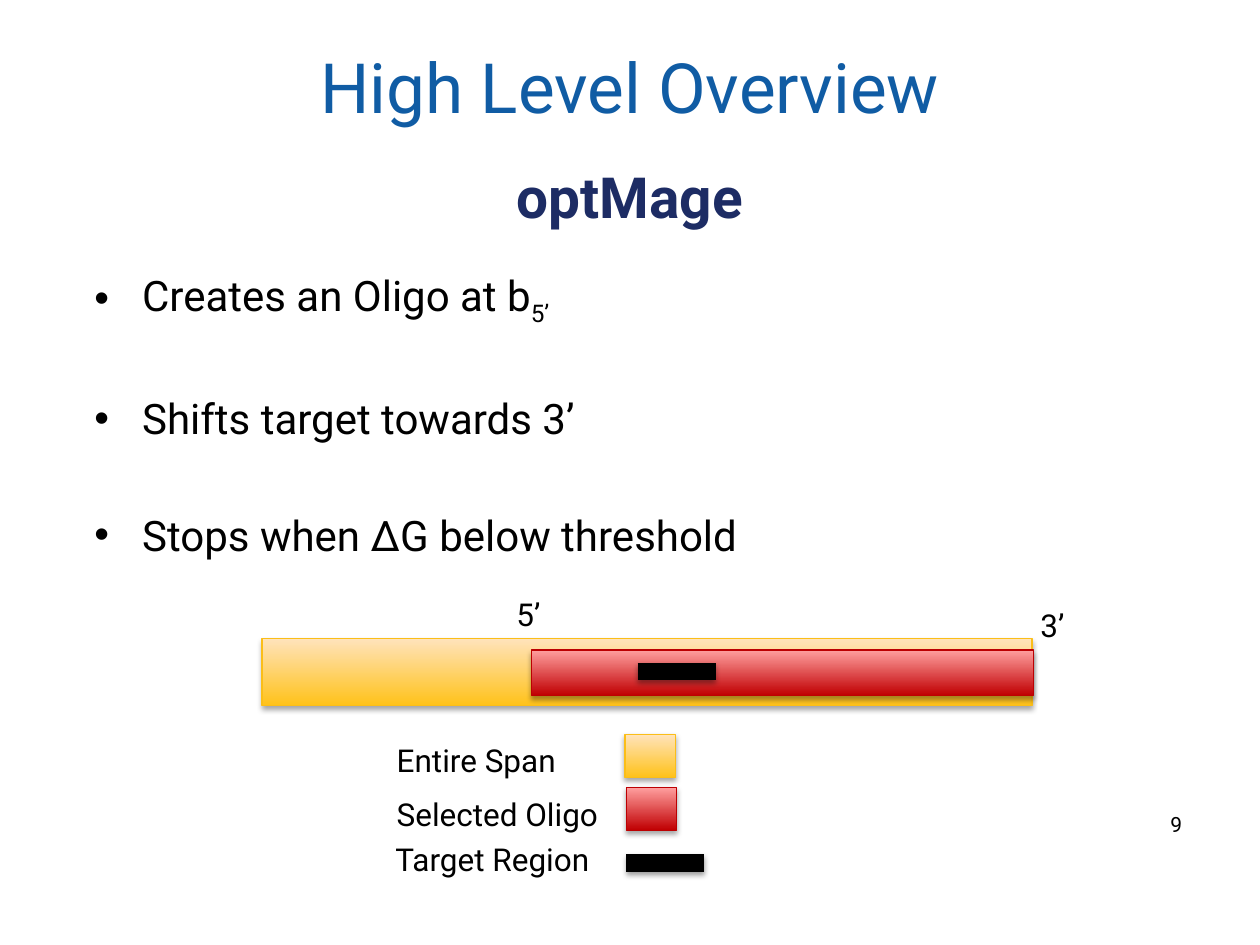
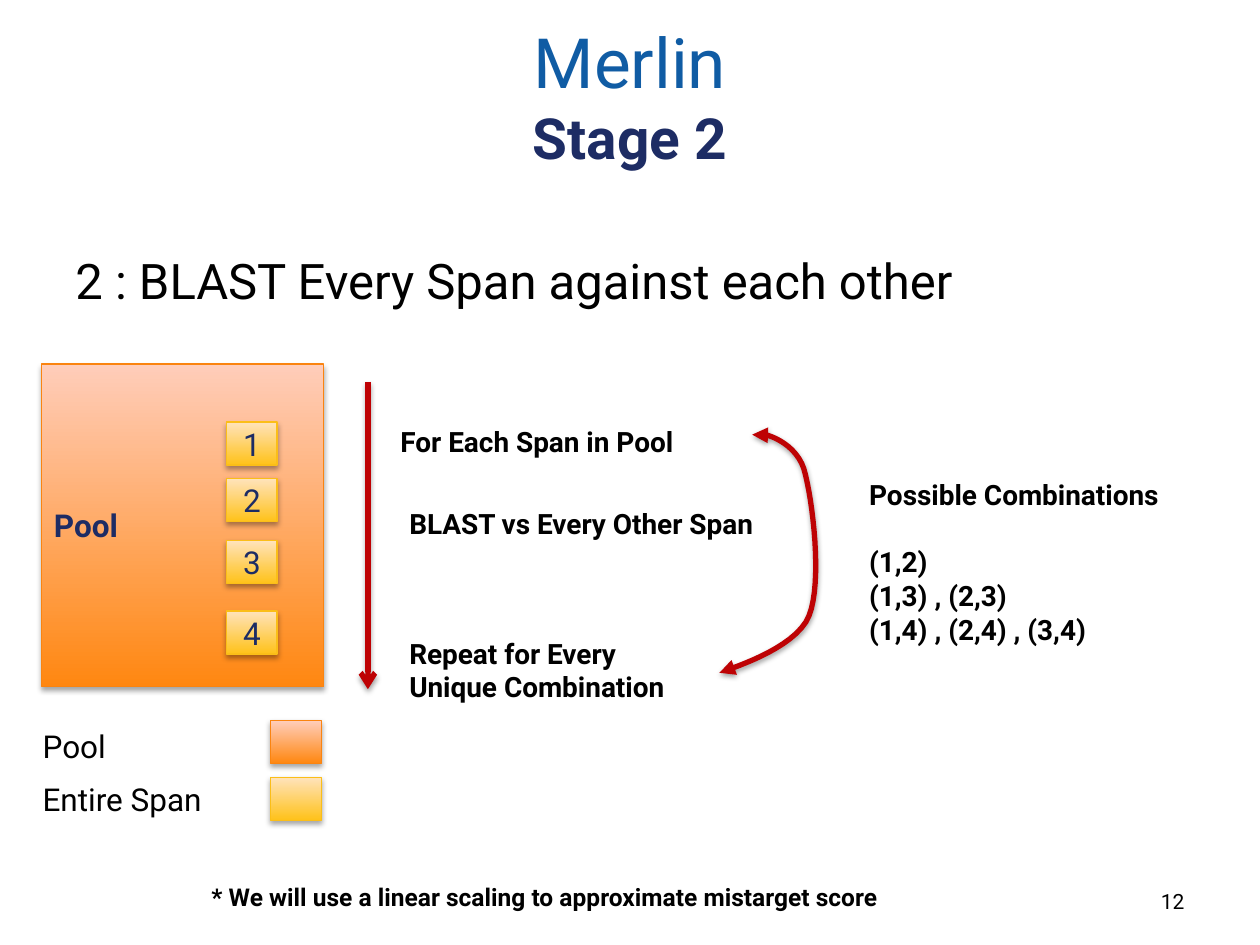
from dataclasses import dataclass

from lxml.etree import SubElement
from pptx import Presentation
from pptx.dml.color import RGBColor
from pptx.enum.shapes import MSO_CONNECTOR, MSO_SHAPE
from pptx.enum.text import MSO_ANCHOR, MSO_AUTO_SIZE, PP_ALIGN
from pptx.oxml.ns import qn
from pptx.util import Inches, Pt

FONT = "Roboto"
BLACK = RGBColor(0x00, 0x00, 0x00)
BLUE = RGBColor(0x10, 0x5C, 0xA4)
NAVY = RGBColor(0x1D, 0x2C, 0x64)
ARROW_RED = RGBColor(0xBE, 0x02, 0x04)
KEY_W, KEY_H = 0.4, 0.34


@dataclass(frozen=True)
class Style:
    """Gradient from bottom to top, with an outline."""
    bottom: RGBColor
    top: RGBColor
    line: RGBColor


SPAN = Style(RGBColor(0xFF, 0xC2, 0x1A), RGBColor(0xFF, 0xE3, 0xBB), RGBColor(0xFB, 0xBE, 0x18))
OLIGO = Style(RGBColor(0xC0, 0x00, 0x02), RGBColor(0xFF, 0x9F, 0x9F), RGBColor(0xBC, 0x00, 0x02))
POOL = Style(RGBColor(0xFF, 0x87, 0x11), RGBColor(0xFF, 0xCD, 0xBA), RGBColor(0xFA, 0x84, 0x10))


@dataclass(frozen=True)
class Box:
    """Rectangle with an optional label."""
    left: float
    top: float
    width: float
    height: float
    style: Style
    text: str = ""
    bold: bool = False
    align: PP_ALIGN = PP_ALIGN.CENTER


@dataclass(frozen=True)
class Note:
    """Text block with one paragraph per line."""
    left: float
    top: float
    width: float
    height: float
    lines: tuple[str, ...]
    size: float = 18
    bold: bool = False
    align: PP_ALIGN = PP_ALIGN.LEFT
    anchor: MSO_ANCHOR = MSO_ANCHOR.TOP


def add_run(p, text: str, size: float, color: RGBColor = BLACK, bold: bool = False):
    """Append a formatted run."""
    r = p.add_run()
    r.text = text
    r.font.name = FONT
    r.font.size = Pt(size)
    r.font.bold = bold
    r.font.color.rgb = color
    return r


def add_shadow(sp, alpha: int, dist: float) -> None:
    """Give a shape a soft shadow straight below it."""
    effects = SubElement(sp._element.spPr, qn("a:effectLst"))
    outer = SubElement(effects, qn("a:outerShdw"), blurRad=str(Pt(3.1)), dist=str(Pt(dist)),
                       dir="5400000", rotWithShape="0")
    color = SubElement(outer, qn("a:srgbClr"), val="000000")
    SubElement(color, qn("a:alpha"), val=str(alpha * 1000))


def style_line(sp, color: RGBColor, width: float, head: str = "none", tail: str = "none") -> None:
    """Format a line with its arrowheads and shadow."""
    sp.line.color.rgb = color
    sp.line.width = Pt(width)
    ln = sp.line._get_or_add_ln()
    SubElement(ln, qn("a:headEnd"), type=head)
    SubElement(ln, qn("a:tailEnd"), type=tail)
    add_shadow(sp, 38, 1.6)


def add_line(s, start: tuple[float, float], end: tuple[float, float],
             color: RGBColor, width: float, tail: str = "none") -> None:
    """Draw a straight line."""
    cx = s.shapes.add_connector(MSO_CONNECTOR.STRAIGHT, *map(Inches, start + end))
    style_line(cx, color, width, tail=tail)


def add_curve(s, start: tuple[float, float], segments: list, steps: int = 16) -> None:
    """Draw cubic curves as a smooth open outline with two arrowheads."""
    points, origin = [], start
    for c1, c2, end in segments:
        for i in range(1, steps + 1):
            t = i / steps
            u = 1 - t
            points.append(tuple(
                Inches(u**3 * a + 3 * u * u * t * b + 3 * u * t * t * c + t**3 * d)
                for a, b, c, d in zip(origin, c1, c2, end)))
        origin = end
    builder = s.shapes.build_freeform(*map(Inches, start))
    builder.add_line_segments(points, close=False)
    sp = builder.convert_to_shape()
    sp.fill.background()
    style_line(sp, ARROW_RED, 3, "triangle", "triangle")


def add_box(s, box: Box) -> None:
    """Draw a gradient rectangle."""
    sp = s.shapes.add_shape(MSO_SHAPE.RECTANGLE, Inches(box.left), Inches(box.top),
                            Inches(box.width), Inches(box.height))
    sp.fill.gradient()
    sp.fill.gradient_angle = 90
    for stop, color in zip(sp.fill.gradient_stops, (box.style.bottom, box.style.top)):
        stop.color.rgb = color
    sp.line.color.rgb = box.style.line
    sp.line.width = Pt(0.75)
    add_shadow(sp, 35, 1.8)
    if box.text:
        tf = sp.text_frame
        tf.vertical_anchor = MSO_ANCHOR.MIDDLE
        p = tf.paragraphs[0]
        p.alignment = box.align
        add_run(p, box.text, 18, NAVY, box.bold)


def add_note(s, note: Note):
    """Draw a text block and return its frame."""
    tb = s.shapes.add_textbox(Inches(note.left), Inches(note.top),
                              Inches(note.width), Inches(note.height))
    tf = tb.text_frame
    tf.word_wrap = True
    tf.vertical_anchor = note.anchor
    for i, line in enumerate(note.lines):
        p = tf.add_paragraph() if i else tf.paragraphs[0]
        p.alignment = note.align
        add_run(p, line, note.size, bold=note.bold)
    return tf


def add_slide(prs, title: str, subtitle: str, top: float, spacing: float):
    """Add a slide with a two-line title."""
    s = prs.slides.add_slide(prs.slide_layouts[5])
    sp = s.shapes.title
    sp.left, sp.top, sp.width, sp.height = map(Inches, (0.5, top, 9, 1.25))
    tf = sp.text_frame
    tf.auto_size = MSO_AUTO_SIZE.NONE
    tf.vertical_anchor = MSO_ANCHOR.MIDDLE
    p = tf.paragraphs[0]
    p.alignment = PP_ALIGN.CENTER
    p.line_spacing = spacing
    add_run(p, title, 39.6, BLUE)
    p.add_line_break()
    add_run(p, subtitle, 32.4, NAVY, True)
    return s


def add_number(s, number: str, left: float, top: float) -> None:
    """Write the slide number."""
    add_note(s, Note(left, top, 2.33, 0.4, (number,), 12,
                     align=PP_ALIGN.RIGHT, anchor=MSO_ANCHOR.MIDDLE))


def build_overview(prs) -> None:
    """Build the overview of oligo selection."""
    s = add_slide(prs, "High Level Overview", "optMage", 0.3, 1.5)
    add_number(s, "9", 7.15, 6.34)
    tf = add_note(s, Note(0.65, 2.09, 9, 3.06, (
        "Creates an Oligo at b", "Shifts target towards 3’", "Stops when ΔG below threshold"), 24))
    add_run(tf.paragraphs[0], "5’", 24).font._element.set("baseline", "-25000")
    for i, p in enumerate(tf.paragraphs):
        p.space_before = Pt(37.7 if i else 4.8)
        pPr = p._p.get_or_add_pPr()
        pPr.set("marL", str(Inches(0.38)))
        pPr.set("indent", str(-Inches(0.38)))
        SubElement(pPr, qn("a:buFont"), typeface="Arial")
        SubElement(pPr, qn("a:buChar"), char="•")

    for box in (Box(2.08, 5.07, 6.11, 0.53, SPAN), Box(4.22, 5.16, 3.98, 0.36, OLIGO),
                Box(4.96, 5.83, KEY_W, KEY_H, SPAN), Box(4.97, 6.25, KEY_W, KEY_H, OLIGO)):
        add_box(s, box)
    for left, y in ((5.06, 5.33), (4.97, 6.85)):
        add_line(s, (left, y), (left + 0.62, y), BLACK, 10)
    for left, top, width, text in (
            (4, 4.67, 0.44, "5’"), (8.16, 4.76, 0.44, "3’"), (3.05, 5.83, 1.92, "Entire Span"),
            (3.05, 6.26, 1.92, "Selected Oligo"), (3.04, 6.62, 1.92, "Target Region")):
        add_note(s, Note(left, top, width, 0.4, (text,)))


def build_stage(prs) -> None:
    """Build the stage that compares the spans in the pool."""
    s = add_slide(prs, "Merlin", "Stage 2", 0.13, 1.0)
    add_number(s, "12", 7.17, 6.95)
    tf = add_note(s, Note(0.5, 1.94, 9.4, 0.69, ("2 : BLAST Every Span against each other",), 28))
    tf.paragraphs[0].space_before = Pt(5.6)

    add_box(s, Box(0.33, 2.89, 2.24, 2.56, POOL, "Pool", True, PP_ALIGN.LEFT))
    for number, top in enumerate((3.35, 3.8, 4.29, 4.85), 1):
        add_box(s, Box(1.8, top, KEY_W, KEY_H, SPAN, str(number)))
    for text, style, top, key_top in (("Pool", POOL, 5.72, 5.72), ("Entire Span", SPAN, 6.14, 6.17)):
        add_note(s, Note(0.24, top, 1.9, 0.4, (text,)))
        add_box(s, Box(2.15, key_top, KEY_W, KEY_H, style))

    add_line(s, (2.92, 3.03), (2.92, 5.47), ARROW_RED, 3, "arrow")
    add_curve(s, (5.97, 3.45), [
        ((6, 3.41), (6.3, 3.48), (6.38, 3.72)),
        ((6.45, 3.96), (6.53, 4.62), (6.42, 4.89)),
        ((6.31, 5.16), (5.75, 5.32), (5.71, 5.34))])

    for left, top, width, height, lines in (
            (3.08, 3.32, 2.83, 0.37, ("For Each Span in Pool",)),
            (3.15, 3.97, 3.24, 0.37, ("BLAST vs Every Other Span",)),
            (3.15, 5, 2.63, 0.64, ("Repeat for Every", "Unique Combination"))):
        add_note(s, Note(left, top, width, height, lines, 16, True))
    tf = add_note(s, Note(6.8, 3.74, 2.83, 1.45, (
        "Possible Combinations", "(1,2)", "(1,3) , (2,3)", "(1,4) , (2,4) , (3,4)"), 16, True))
    tf.paragraphs[1].space_before = Pt(19.4)
    add_note(s, Note(1.58, 6.95, 7.39, 0.34, (
        "* We will use a linear scaling to approximate mistarget score",), 14, True))


def main() -> None:
    """Build and save both slides."""
    prs = Presentation()
    prs.slide_width, prs.slide_height = Inches(10), Inches(7.5)
    build_overview(prs)
    build_stage(prs)
    prs.save("out.pptx")


if __name__ == "__main__":
    main()
